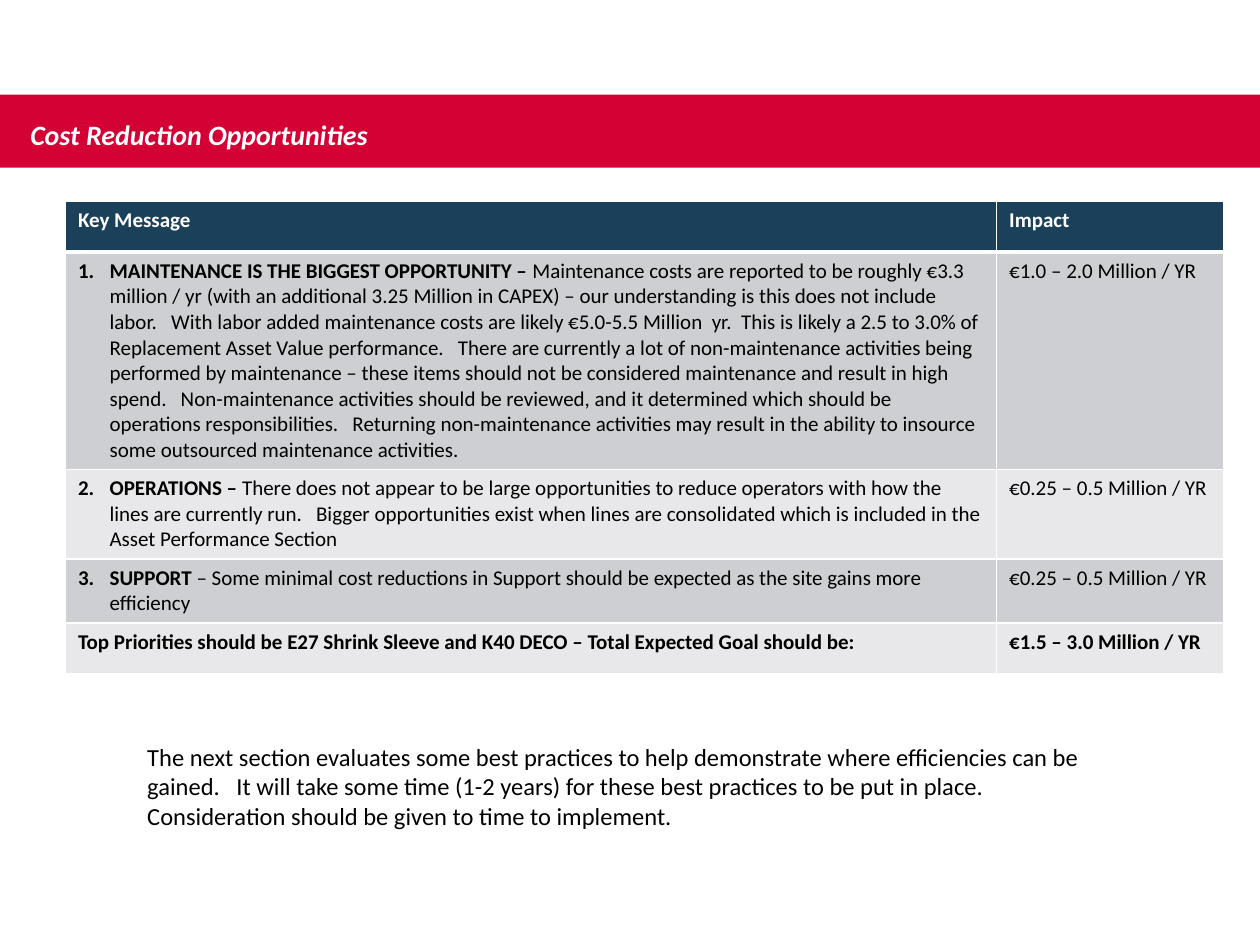
import pptx
import pptx.util
import pptx.dml.color
import pptx.enum.shapes
import pptx.enum.text
import pptx.oxml
import pptx.oxml.ns
from lxml import etree

FONT = "Calibri"
WHITE, BLACK, RED, NAVY = "FFFFFF", "000000", "D40135", "1B405A"
BANDS = ("CDCFD2", "E8E8EA")
TOTAL_WIDTH, TOTAL_HEIGHT = 10, 7.5
COLUMNS = (7.39, 1.8)
ROWS = (0.4, 1.71, 0.71, 0.51, 0.4)

# Each message: bold lead, detail, impact
MESSAGES = [
    ("MAINTENANCE IS THE BIGGEST OPPORTUNITY – ",
     "Maintenance costs are reported to be roughly €3.3 million / yr (with an additional "
     "3.25 Million in CAPEX) – our understanding is this does not include labor.   With labor "
     "added maintenance costs are likely €5.0-5.5 Million  yr.  This is likely a 2.5 to 3.0% of "
     "Replacement Asset Value performance.   There are currently a lot of non-maintenance "
     "activities being performed by maintenance – these items should not be considered "
     "maintenance and result in high spend.   Non-maintenance activities should be reviewed, "
     "and it determined which should be operations responsibilities.   Returning "
     "non-maintenance activities may result in the ability to insource some outsourced "
     "maintenance activities.",
     "€1.0 – 2.0 Million / YR"),
    ("OPERATIONS – ",
     "There does not appear to be large opportunities to reduce operators with how the lines "
     "are currently run.   Bigger opportunities exist when lines are consolidated which is "
     "included in the Asset Performance Section",
     "€0.25 – 0.5 Million / YR"),
    ("SUPPORT ",
     "– Some minimal cost reductions in Support should be expected as the site gains more "
     "efficiency",
     "€0.25 – 0.5 Million / YR"),
]
TOTAL = ("Top Priorities should be E27 Shrink Sleeve and K40 DECO – "
         "Total Expected Goal should be:", "€1.5 – 3.0 Million / YR")
NEXT_STEP = ("The next section evaluates some best practices to help demonstrate where "
             "efficiencies can be gained.   It will take some time (1-2 years) for these best "
             "practices to be put in place.   Consideration should be given to time to implement.")


def rgb(color):
    return pptx.dml.color.RGBColor.from_string(color)


def box(*lengths):
    return [pptx.util.Inches(v) for v in lengths]


def add_text(p, text, size=12, color=BLACK, bold=False, italic=False):
    r = p.add_run()
    r.text = text
    r.font.name, r.font.size = FONT, pptx.util.Pt(size)
    r.font.bold, r.font.italic = bold, italic
    r.font.color.rgb = rgb(color)


def number_paragraph(p, number):
    pPr = p._p.get_or_add_pPr()
    indent = pptx.util.Inches(0.25)
    pPr.set("marL", str(indent))
    pPr.set("indent", str(-indent))
    bullet = etree.SubElement(pPr, pptx.oxml.ns.qn("a:buAutoNum"), type="arabicPeriod")
    if number > 1:
        bullet.set("startAt", str(number))


def style_cell(cell, fill, bottom=1):
    """White borders go in before the fill, as the schema orders them."""
    tcPr = cell._tc.get_or_add_tcPr()
    for side, width in (("L", 1), ("R", 1), ("T", 1), ("B", bottom)):
        tcPr.append(pptx.oxml.parse_xml(
            f'<a:ln{side} {pptx.oxml.ns.nsdecls("a")} w="{pptx.util.Pt(width)}">'
            f'<a:solidFill><a:srgbClr val="{WHITE}"/></a:solidFill></a:ln{side}>'))
    cell.fill.solid()
    cell.fill.fore_color.rgb = rgb(fill)


def add_title(s, text):
    # Red band, placed behind the title
    band = s.shapes.add_shape(pptx.enum.shapes.MSO_SHAPE.RECTANGLE,
                              *box(0, 0.1 * TOTAL_HEIGHT, TOTAL_WIDTH, 0.58))
    band.shadow.inherit = False
    band.fill.solid()
    band.fill.fore_color.rgb = rgb(RED)
    band.line.fill.background()
    title = s.shapes.title
    title.element.addprevious(band.element)

    title.left, title.top, title.width, title.height = box(0.14, 0.88, 9.17, 0.37)
    tf = title.text_frame
    tf.auto_size = pptx.enum.text.MSO_AUTO_SIZE.NONE
    tf.vertical_anchor = pptx.enum.text.MSO_ANCHOR.TOP
    p = tf.paragraphs[0]
    p.alignment = pptx.enum.text.PP_ALIGN.LEFT
    add_text(p, text, size=16, color=WHITE, bold=True, italic=True)


def add_message_table(s):
    table = s.shapes.add_table(len(ROWS), len(COLUMNS),
                               *box(0.52, 1.6, sum(COLUMNS), sum(ROWS))).table
    for column, width in zip(table.columns, COLUMNS):
        column.width = pptx.util.Inches(width)
    for i, (row, height) in enumerate(zip(table.rows, ROWS)):
        row.height = pptx.util.Inches(height)
        for cell in row.cells:
            if i == 0:
                style_cell(cell, NAVY, bottom=3)
            else:
                style_cell(cell, BANDS[(i - 1) % 2])

    def paragraph(row, column):
        return table.cell(row, column).text_frame.paragraphs[0]

    # Header and total rows
    for column, (head, total) in enumerate(zip(("Key Message", "Impact"), TOTAL)):
        add_text(paragraph(0, column), head, color=WHITE, bold=True)
        add_text(paragraph(len(ROWS) - 1, column), total, bold=True)

    # Numbered messages
    for number, (lead, detail, impact) in enumerate(MESSAGES, 1):
        p = paragraph(number, 0)
        number_paragraph(p, number)
        add_text(p, lead, bold=True)
        add_text(p, detail)
        add_text(paragraph(number, 1), impact)


def add_note(s, text):
    tf = s.shapes.add_textbox(*box(1.07, 5.84, 7.78, 0.81)).text_frame
    tf.word_wrap = True
    add_text(tf.paragraphs[0], text, size=14)


def main():
    prs = pptx.Presentation()
    prs.slide_width, prs.slide_height = box(TOTAL_WIDTH, TOTAL_HEIGHT)
    s = prs.slides.add_slide(prs.slide_layouts.get_by_name("Title Only"))
    add_title(s, "Cost Reduction Opportunities")
    add_message_table(s)
    add_note(s, NEXT_STEP)
    prs.save("out.pptx")


if __name__ == "__main__":
    main()
